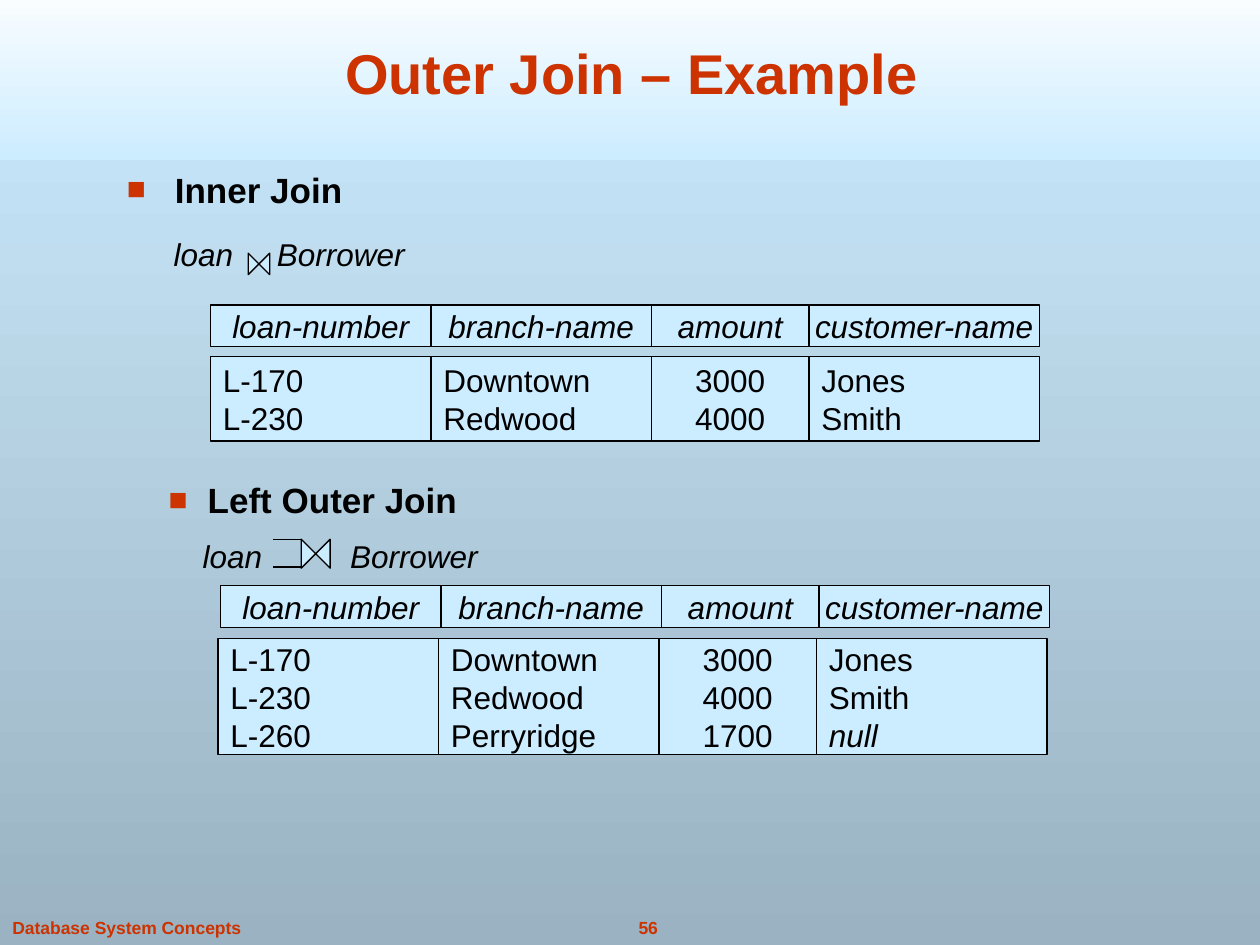
from itertools import accumulate

from lxml import etree
from pptx import Presentation
from pptx.dml.color import RGBColor
from pptx.enum import shapes, text
from pptx.oxml.ns import qn
from pptx.util import Inches, Pt

COLORS = {"red": "CC3300", "black": "000000", "sky": "CCECFF",
          "white": "FFFFFF", "slate": "9AB2C1"}
FONT = "Arial"
LEFT, CENTER = text.PP_ALIGN.LEFT, text.PP_ALIGN.CENTER

TITLE = "Outer Join – Example"
FOOTER = "Database System Concepts"
PAGE_NUMBER = "56"

# (name, width, alignment of the values)
COLUMNS = [("loan-number", 1.75, LEFT), ("branch-name", 1.75, LEFT),
           ("amount", 1.25, CENTER), ("customer-name", 1.83, LEFT)]
INNER_ROWS = [("L-170", "Downtown", "3000", "Jones"),
              ("L-230", "Redwood", "4000", "Smith")]
OUTER_ROWS = INNER_ROWS + [("L-260", "Perryridge", "1700", "null")]

# header and body boxes: left, top, height
RELATIONS = [
    {"rows": INNER_ROWS, "header": (1.67, 2.42, 0.33), "body": (1.67, 2.83, 0.67)},
    {"rows": OUTER_ROWS, "header": (1.75, 4.65, 0.33), "body": (1.73, 5.07, 0.92)},
]
# (name, box, hanging indent, line spacing)
HEADINGS = [("Inner Join", (0.91, 1.35, 7.83, 0.4), 0.38, 0.8),
            ("Left Outer Join", (1.24, 3.75, 4.63, 0.4), 0.31, 1.0)]
# operands of the two joins: (word, left, top, width)
OPERANDS = [("loan", 1.28, 1.82, 0.7), ("Borrower", 2.1, 1.82, 1.4),
            ("loan", 1.51, 4.21, 0.7), ("Borrower", 2.68, 4.21, 1.4)]
OPERAND_HEIGHT = 0.37
# join symbols: left, top, size
BOWTIES = [(1.97, 2.01, 0.17), (2.39, 4.28, 0.23)]
OUTER_BARS = {"left": 2.17, "right": 2.39, "tops": (4.28, 4.5)}


def rgb(name):
    return RGBColor.from_string(COLORS[name])


def shade(fill, top, bottom):
    """Fill with a gradient that runs from top to bottom."""
    fill.gradient()
    fill.gradient_angle = 270
    for stop, color, position in zip(fill.gradient_stops, (top, bottom), (0, 1)):
        stop.color.rgb = rgb(color)
        stop.position = position


def write(paragraph, words, size=18, color="black", bold=False, italic=False,
          align=LEFT, spacing=1.0):
    paragraph.text = words
    paragraph.alignment = align
    paragraph.line_spacing = spacing
    font = paragraph.font
    font.name, font.size = FONT, Pt(size)
    font.bold, font.italic = bold, italic
    font.color.rgb = rgb(color)


def add_text(slide, at, words, hang=0, anchor=text.MSO_ANCHOR.TOP, **style):
    """Add a text box; a hanging indent gives it a bullet."""
    frame = slide.shapes.add_textbox(*map(Inches, at)).text_frame
    frame.word_wrap = True
    frame.vertical_anchor = anchor
    paragraph = frame.paragraphs[0]
    if hang:
        add_bullet(paragraph, hang)
    write(paragraph, words, **style)


def add_bullet(paragraph, hang):
    properties = paragraph._p.get_or_add_pPr()
    properties.set("marL", str(Inches(hang)))
    properties.set("indent", str(-Inches(hang)))
    color = etree.SubElement(properties, qn("a:buClr"))
    etree.SubElement(color, qn("a:srgbClr"), val=COLORS["red"])
    etree.SubElement(properties, qn("a:buSzPct"), val="90000")
    etree.SubElement(properties, qn("a:buFont"), typeface=FONT)
    etree.SubElement(properties, qn("a:buChar"), char="■")


def add_box(slide, kind, at):
    shape = slide.shapes.add_shape(kind, *map(Inches, at))
    shape.shadow.inherit = False
    shape.fill.solid()
    shape.fill.fore_color.rgb = rgb("sky")
    shape.line.color.rgb = rgb("black")
    shape.line.width = Pt(0.75)
    return shape


def add_cell(slide, at, lines, align, italic=False):
    frame = add_box(slide, shapes.MSO_SHAPE.RECTANGLE, at).text_frame
    frame.word_wrap = False
    frame.vertical_anchor = text.MSO_ANCHOR.MIDDLE
    for number, line in enumerate(lines):
        paragraph = frame.add_paragraph() if number else frame.paragraphs[0]
        write(paragraph, line, align=align, italic=italic or line == "null")


def add_relation(slide, rows, header, body):
    widths = [width for _, width, _ in COLUMNS]
    offsets = accumulate([0] + widths[:-1])
    values = zip(*rows)
    for (name, width, align), offset, column in zip(COLUMNS, offsets, values):
        for (left, top, height), lines, side, italic in (
                (header, [name], CENTER, True), (body, column, align, False)):
            add_cell(slide, (left + offset, top, width, height), lines, side, italic)


def add_line(slide, left, right, top):
    line = slide.shapes.add_connector(
        shapes.MSO_CONNECTOR.STRAIGHT, *map(Inches, (right, top, left, top)))
    line.line.color.rgb = rgb("black")
    line.line.width = Pt(0.75)
    etree.SubElement(line._element.spPr, qn("a:effectLst"))


def main():
    presentation = Presentation()
    presentation.slide_width, presentation.slide_height = Inches(10), Inches(7.5)
    slide = presentation.slides.add_slide(presentation.slide_layouts[6])
    shade(slide.background.fill, "sky", "slate")

    band = add_box(slide, shapes.MSO_SHAPE.RECTANGLE, (0, -0.17, 10, 1.44))
    shade(band.fill, "white", "sky")
    band.line.fill.background()

    small = {"size": 10, "color": "red", "bold": True}
    add_text(slide, (4.71, 7.23, 0.87, 0.27), PAGE_NUMBER, align=CENTER, **small)
    add_text(slide, (0, 7.23, 2.3, 0.27), FOOTER, **small)
    add_text(slide, (0.6, 0.22, 8.83, 0.67), TITLE, size=32, color="red",
             bold=True, align=CENTER, anchor=text.MSO_ANCHOR.BOTTOM)

    for name, at, hang, spacing in HEADINGS:
        add_text(slide, at, name, hang=hang, size=20, bold=True, spacing=spacing)
    for word, left, top, width in OPERANDS:
        add_text(slide, (left, top, width, OPERAND_HEIGHT), word, italic=True)
    for relation in RELATIONS:
        add_relation(slide, **relation)
    for left, top, size in BOWTIES:
        bowtie = add_box(slide, shapes.MSO_SHAPE.FLOWCHART_COLLATE,
                         (left, top, size, size))
        bowtie.rotation = 90
    for top in OUTER_BARS["tops"]:
        add_line(slide, OUTER_BARS["left"], OUTER_BARS["right"], top)

    presentation.save("out.pptx")


if __name__ == "__main__":
    main()
